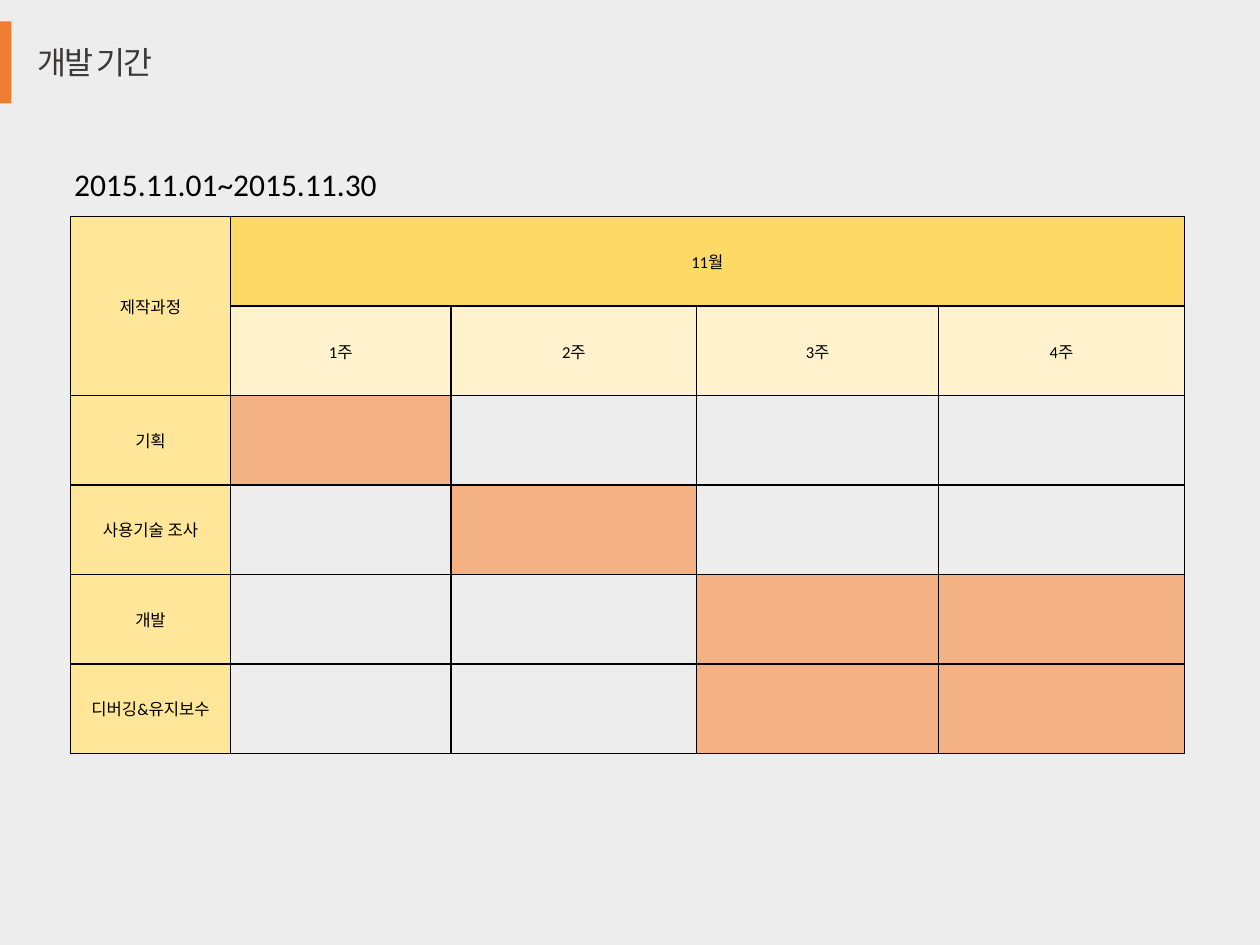
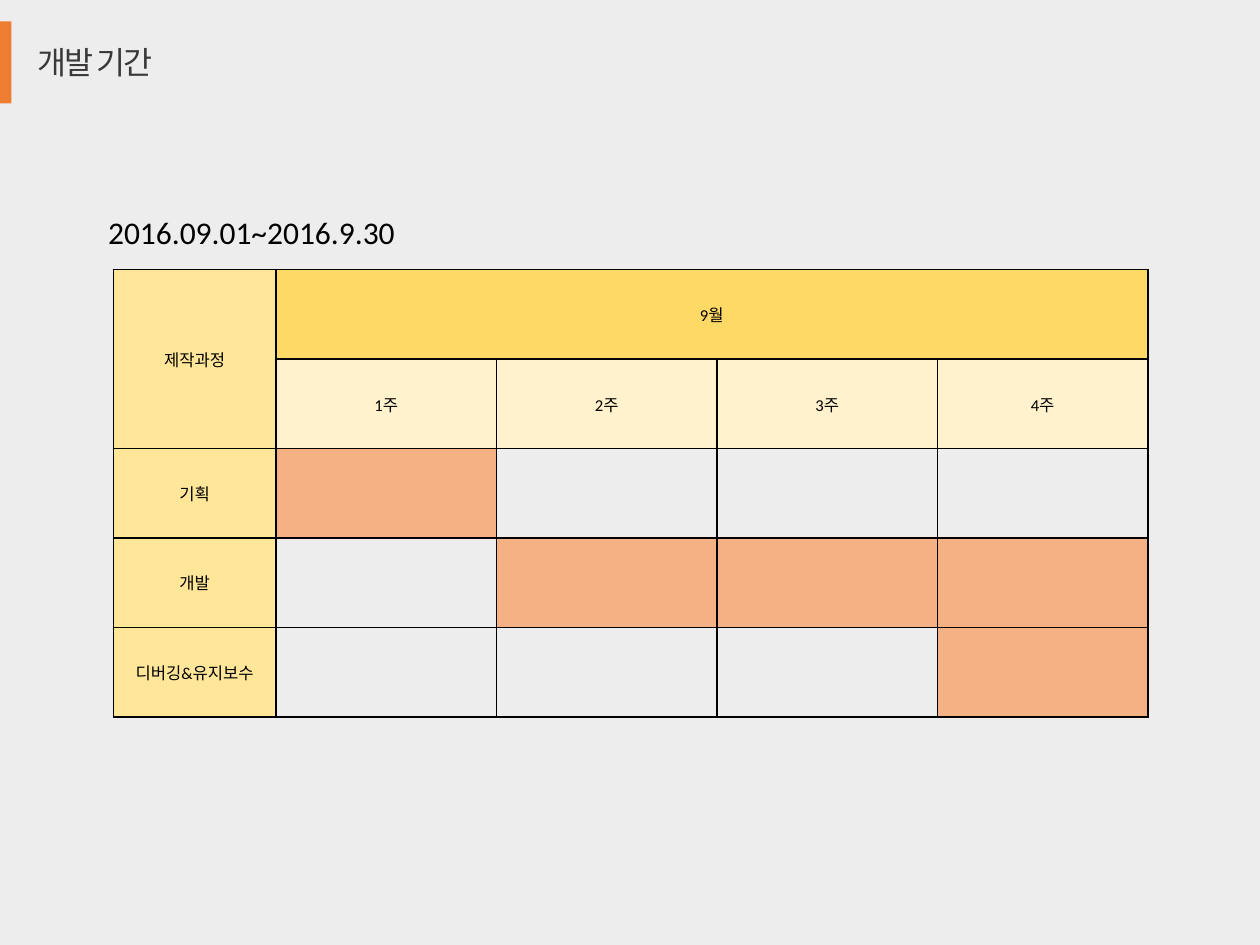
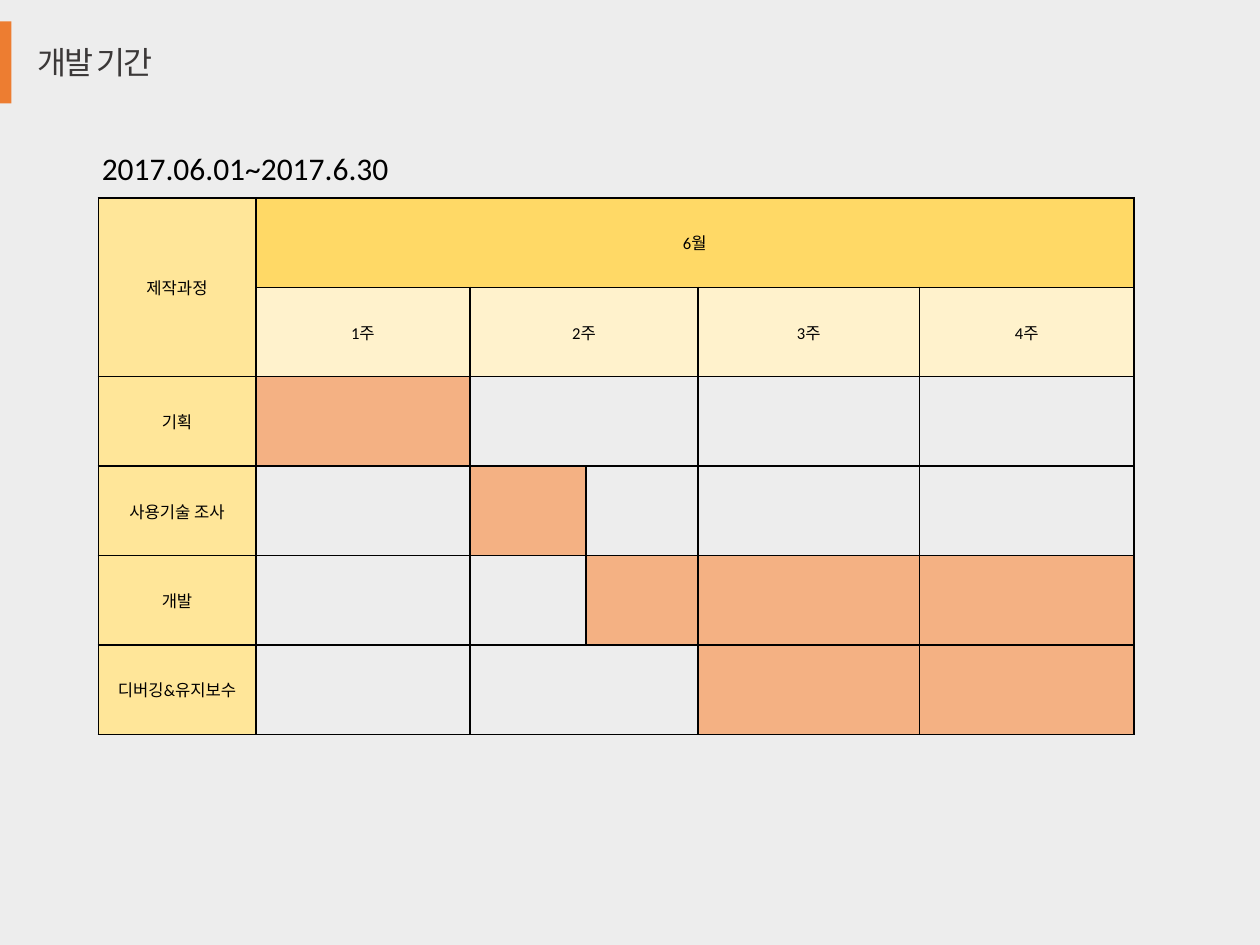
from itertools import accumulate

from lxml.etree import SubElement
from pptx import Presentation
from pptx.dml.color import RGBColor
from pptx.enum.shapes import MSO_SHAPE
from pptx.enum.text import MSO_ANCHOR, PP_ALIGN
from pptx.oxml.ns import qn
from pptx.util import Inches, Pt

BACKGROUND = "EDEDED"
ACCENT = "ED7D31"
TITLE_COLOR = "3B3838"
BLACK = "000000"
MONTH_FILL = "FFD966"
WEEK_FILL = "FFF2CC"
STAGE_FILL = "FFE699"
ACTIVE_FILL = "F4B183"
LATIN_FONT = "Calibri"
KOREAN_FONT = "Noto Sans CJK KR"
ROW_HEIGHT = 0.71

# week_spans: table columns under each week; in stages, X marks an active column
schedules = [
    dict(period="2015.11.01~2015.11.30", period_at=(0.49, 1.26),
         month="11월", table_at=(0.56, 1.72),
         widths=[1.27, 1.75, 1.95, 1.92, 1.95], week_spans=[1, 1, 1, 1],
         stages=[("기획", "X..."), ("사용기술 조사", ".X.."),
                 ("개발", "..XX"), ("디버깅&유지보수", "..XX")]),
    dict(period="2016.09.01~2016.9.30", period_at=(0.76, 1.64),
         month="9월", table_at=(0.9, 2.14),
         widths=[1.29, 1.75, 1.75, 1.75, 1.67], week_spans=[1, 1, 1, 1],
         stages=[("기획", "X..."), ("개발", ".XXX"), ("디버깅&유지보수", "...X")]),
    dict(period="2017.06.01~2017.6.30", period_at=(0.71, 1.13),
         month="6월", table_at=(0.78, 1.57),
         widths=[1.25, 1.7, 0.92, 0.89, 1.76, 1.7], week_spans=[1, 2, 1, 1],
         stages=[("기획", "X...."), ("사용기술 조사", ".X..."),
                 ("개발", "..XXX"), ("디버깅&유지보수", "...XX")]),
]


def rgb(hex_color):
    return RGBColor.from_string(hex_color)


def add_run(paragraph, text, size, color=BLACK, font=LATIN_FONT):
    run = paragraph.add_run()
    run.text = text
    run.font.size = Pt(size)
    run.font.bold = False
    run.font.name = font
    run.font.color.rgb = rgb(color)
    SubElement(run.font._element, qn("a:ea"), typeface=KOREAN_FONT)
    return run


prs = Presentation()
prs.slide_width, prs.slide_height = Inches(10), Inches(7.5)
master_fill = prs.slide_master.background.fill
master_fill.solid()
master_fill.fore_color.rgb = rgb(BACKGROUND)
title_only = prs.slide_layouts[5]

for schedule in schedules:
    slide = prs.slides.add_slide(title_only)

    accent_bar = slide.shapes.add_shape(
        MSO_SHAPE.RECTANGLE, 0, Inches(0.17), Inches(0.09), Inches(0.65))
    accent_bar.shadow.inherit = False
    accent_bar.fill.solid()
    accent_bar.fill.fore_color.rgb = rgb(ACCENT)
    accent_bar.line.fill.background()

    title = slide.shapes.title
    title.left, title.top = Inches(0.2), Inches(0.29)
    title.width, title.height = Inches(1.4), Inches(0.4)
    title.text_frame.word_wrap = False
    title.text_frame.vertical_anchor = MSO_ANCHOR.MIDDLE
    heading = title.text_frame.paragraphs[0]
    heading.alignment = PP_ALIGN.LEFT
    heading_run = add_run(heading, "개발 기간", 18, TITLE_COLOR, KOREAN_FONT)
    heading_run.font._element.set("spc", "-110")

    # Stage grid
    widths, stages = schedule["widths"], schedule["stages"]
    row_count = len(stages) + 2
    left, top = schedule["table_at"]
    table = slide.shapes.add_table(
        row_count, len(widths), Inches(left), Inches(top),
        Inches(sum(widths)), Inches(ROW_HEIGHT * row_count)).table
    table.first_row = table.horz_banding = False
    for column, width in zip(table.columns, widths):
        column.width = Inches(width)
    for row in table.rows:
        row.height = Inches(ROW_HEIGHT)

    # Wording and fill of each cell
    labels = {(0, 0): "제작과정", (0, 1): schedule["month"]}
    fills = {(0, column): MONTH_FILL for column in range(1, len(widths))}
    fills |= {(1, column): WEEK_FILL for column in range(1, len(widths))}
    fills |= {(row, 0): STAGE_FILL for row in range(row_count)}
    for row, (stage, marks) in enumerate(stages, start=2):
        labels[row, 0] = stage
        for column, mark in enumerate(marks, start=1):
            if mark == "X":
                fills[row, column] = ACTIVE_FILL

    # A split week is joined wherever its parts have the same fill
    table.cell(0, 0).merge(table.cell(1, 0))
    table.cell(0, 1).merge(table.cell(0, len(widths) - 1))
    week_ends = accumulate(schedule["week_spans"])
    for week, (span, last) in enumerate(zip(schedule["week_spans"], week_ends), start=1):
        first = last - span + 1
        labels[1, first] = f"{week}주"
        for row in range(1, row_count):
            if span > 1 and fills.get((row, first)) == fills.get((row, last)):
                table.cell(row, first).merge(table.cell(row, last))

    for row in range(row_count):
        for column in range(len(widths)):
            cell = table.cell(row, column)
            cell.vertical_anchor = MSO_ANCHOR.MIDDLE
            cell_properties = cell._tc.get_or_add_tcPr()
            for side in ("lnL", "lnR", "lnT", "lnB"):
                border = SubElement(cell_properties, qn(f"a:{side}"), w=str(Pt(1)))
                border_fill = SubElement(border, qn("a:solidFill"))
                SubElement(border_fill, qn("a:srgbClr"), val=BLACK)
            if (row, column) in fills:
                cell.fill.solid()
                cell.fill.fore_color.rgb = rgb(fills[row, column])
            else:
                cell.fill.background()
            if (row, column) in labels:
                paragraph = cell.text_frame.paragraphs[0]
                paragraph.alignment = PP_ALIGN.CENTER
                add_run(paragraph, labels[row, column], 9.5)

    left, top = schedule["period_at"]
    period = slide.shapes.add_textbox(Inches(left), Inches(top), Inches(2.74), Inches(0.4))
    period.text_frame.word_wrap = True
    add_run(period.text_frame.paragraphs[0], schedule["period"], 18)

prs.save("out.pptx")
